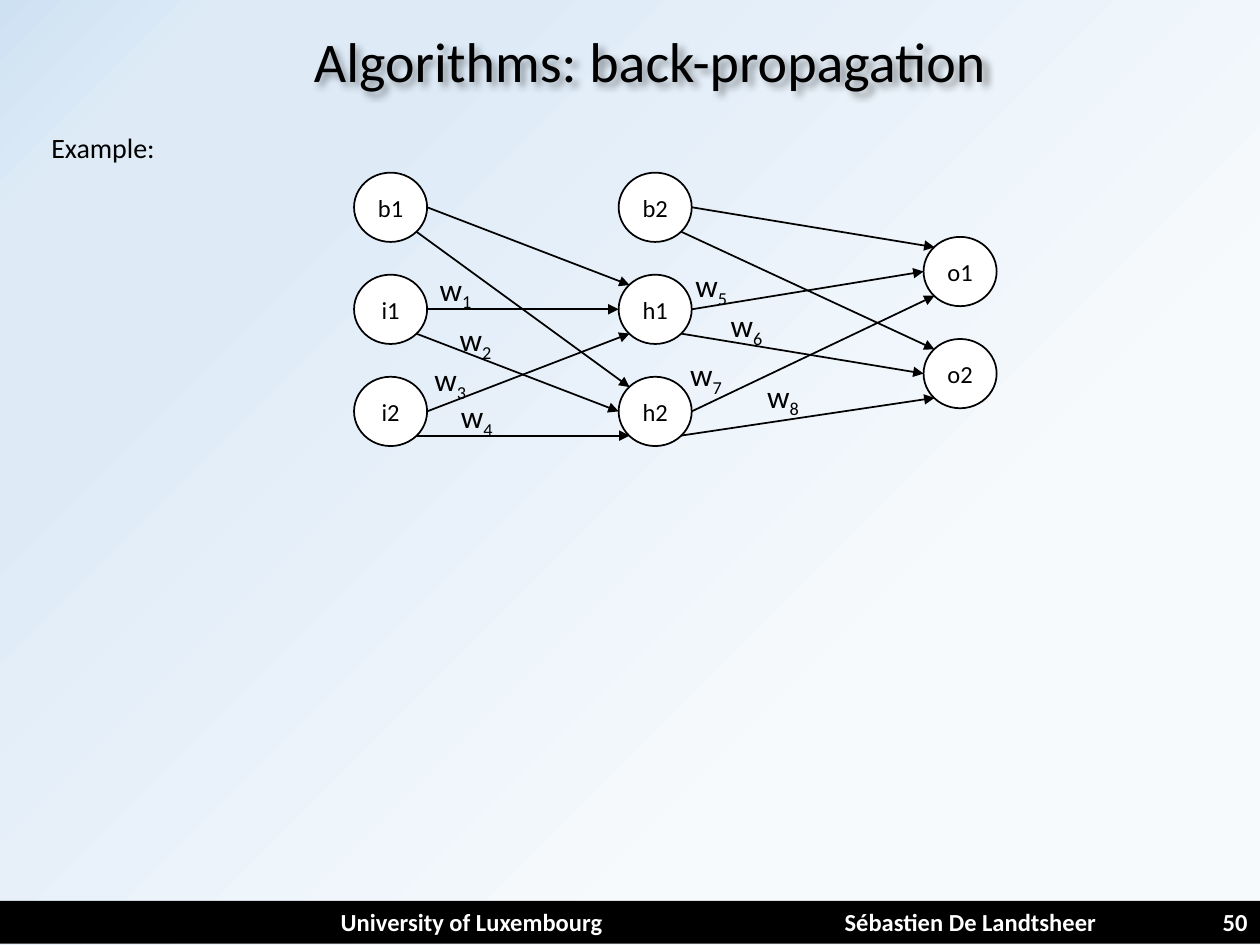
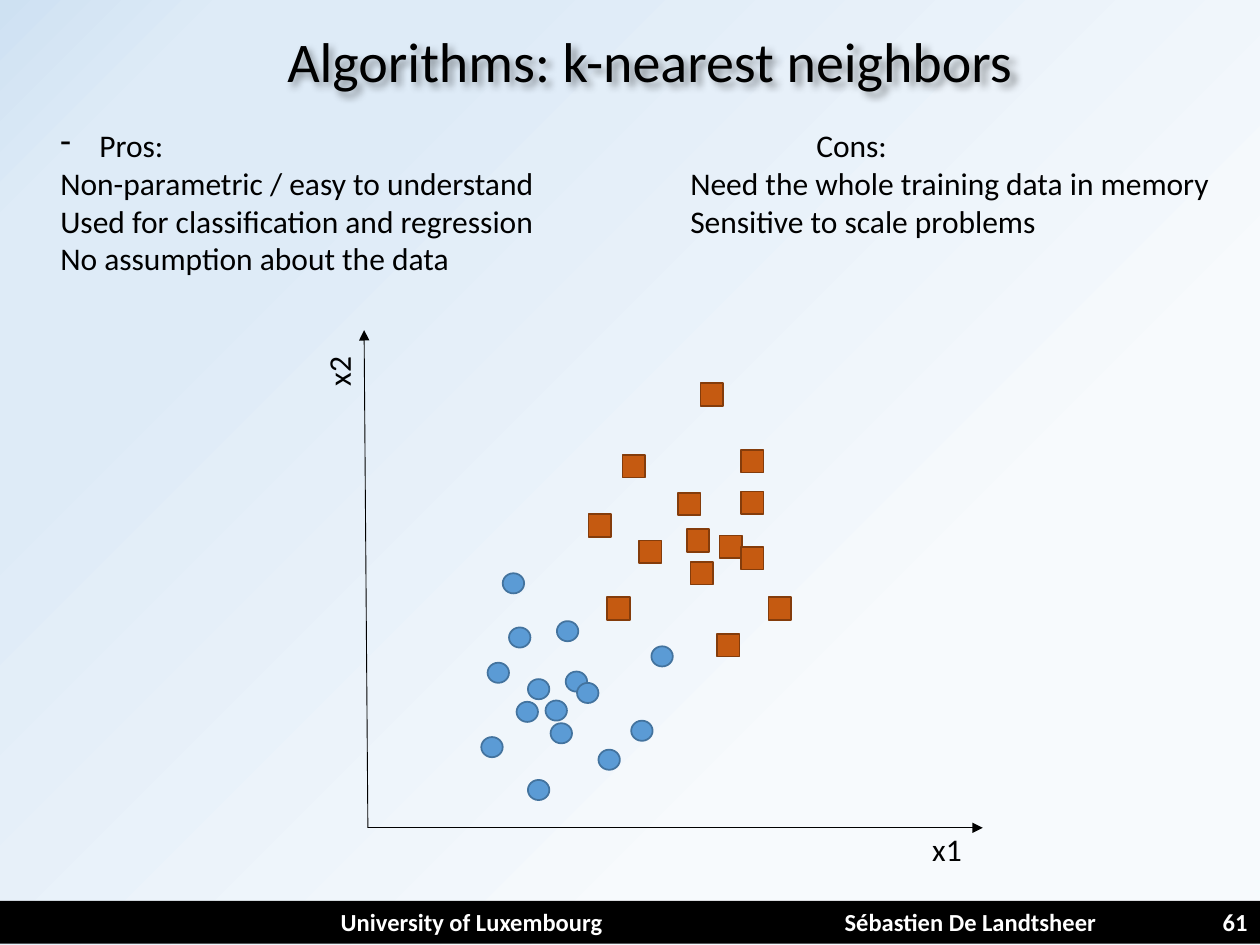
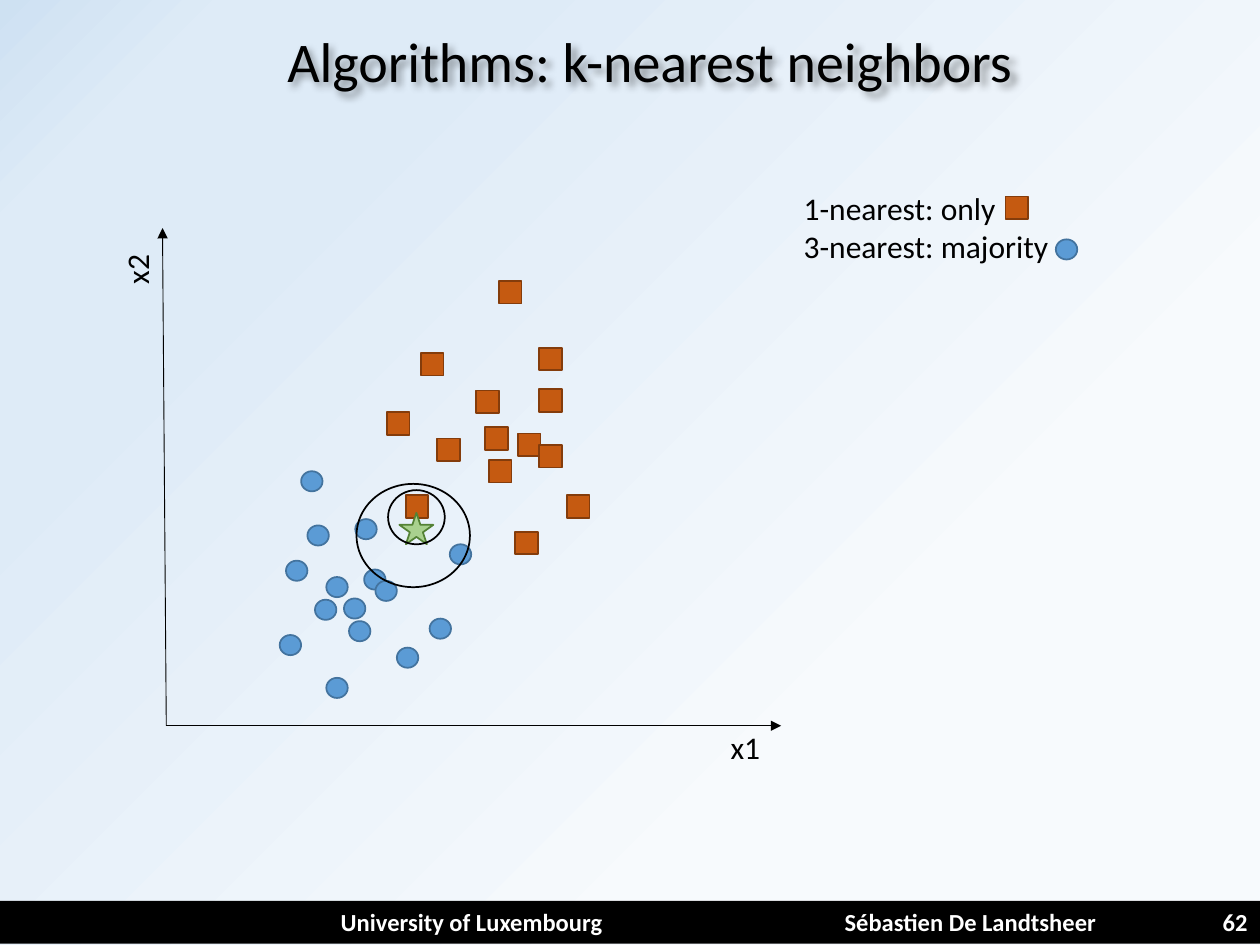
from dataclasses import dataclass
from itertools import product

from lxml.etree import SubElement
from pptx import Presentation
from pptx.dml.color import RGBColor as Rgb
from pptx.enum.shapes import MSO_CONNECTOR as Link, MSO_SHAPE as Preset
from pptx.enum.text import MSO_ANCHOR as Anchor, MSO_AUTO_SIZE as Fit, PP_ALIGN as Align
from pptx.oxml import parse_xml
from pptx.oxml.ns import nsdecls, qn
from pptx.util import Emu, Inches, Pt

FONT = "Calibri"
COLUMNS, ROWS = 100, 75
WIDTH, HEIGHT = Inches(10), Inches(7.5)

COLOURS = {
    "ink": "000000",
    "paper": "FFFFFF",
    "blue": "5B9BD5",
    "blue_edge": "43739E",
    "rust": "C55A11",
    "rust_edge": "843C0B",
    "green": "A9D18E",
    "green_edge": "548235",
}
BACKDROP_STOPS = (
    (29, "F7FAFD", 100),
    (78, "DEEBF7", 70),
    (89, "DEEBF7", 100),
    (100, "CEE1F2", 48),
)


@dataclass(frozen=True)
class Area:
    left: float
    top: float
    width: float
    height: float

    def emu(self) -> tuple[Emu, ...]:
        return (across(self.left), down(self.top), across(self.width), down(self.height))

    def point(self, share: tuple[float, float]) -> tuple[float, float]:
        return self.left + share[0] * self.width, self.top + share[1] * self.height


@dataclass(frozen=True)
class Marker:
    preset: Preset
    size: tuple[float, float]
    fill: str
    edge: str


@dataclass(frozen=True)
class Weight:
    index: str
    left: float
    top: float


DOT = Marker(Preset.OVAL, (1.7, 1.6), "blue", "blue_edge")
SQUARE = Marker(Preset.RECTANGLE, (1.8, 1.8), "rust", "rust_edge")
STAR = Marker(Preset.STAR_5_POINT, (2.7, 2.5), "green", "green_edge")

SAMPLES = {
    DOT: (
        (10.7, 20.2), (11.2, 15.9), (15.7, 12.4), (22.5, 14.4), (20.9, 8.5),
        (12.7, 3.8), (14.1, 10.1), (15, 16.4), (12.7, 11.8), (9.5, 13.1),
        (16.6, 11.5), (11.8, 10), (9, 7.2), (14.5, 8.3), (18.3, 6.2),
    ),
    SQUARE: (
        (24.6, 26.6), (25.3, 23.7), (27.9, 23.2), (25.6, 21.1), (21.5, 22.8),
        (20.2, 29.6), (26.4, 35.3), (29.6, 30), (29.6, 26.7), (29.6, 22.3),
        (31.8, 18.3), (27.7, 15.4), (19, 18.3), (17.5, 24.9),
    ),
}

NODE_STEP = 8.1
LAYERS = (
    (28.1, 13.7, ("b1", "i1", "i2")),
    (49.1, 13.7, ("b2", "h1", "h2")),
    (73.3, 18.8, ("o1", "o2")),
)
EXITS = ((1, 0.5), (0.85, 0.85))
ENTRIES = ((0.15, 0.15), (0, 0.5), (0.15, 0.85))
WEIGHTS = (
    Weight("1", 33.9, 20.9), Weight("2", 35.5, 24.9),
    Weight("3", 33.5, 28.1), Weight("4", 35.6, 31),
    Weight("5", 54.2, 20.6), Weight("6", 57, 23.8),
    Weight("7", 53.8, 27.7), Weight("8", 59.9, 29.4),
)


def across(columns: float) -> Emu:
    return Emu(round(WIDTH * columns / COLUMNS))


def down(rows: float) -> Emu:
    return Emu(round(HEIGHT * rows / ROWS))


def colour(name: str) -> Rgb:
    return Rgb.from_string(COLOURS[name])


def write(frame, text: str, *, size: float = 18, ink: str = "ink", bold: bool = False,
          align: Align = Align.LEFT, anchor: Anchor = Anchor.TOP, wrap: bool = True,
          subscript: str = "", dash_first: bool = False) -> None:
    frame.word_wrap = wrap
    frame.vertical_anchor = anchor
    for number, line in enumerate(text.split("\n")):
        para = frame.add_paragraph() if number else frame.paragraphs[0]
        para.alignment = align
        props = para._p.get_or_add_pPr()
        props.set("defTabSz", str(Inches(1)))
        if dash_first and number == 0:
            props.set("marL", str(Inches(0.31)))
            props.set("indent", str(Inches(-0.31)))
            SubElement(props, qn("a:buChar"), char="-")
        for part in filter(None, (line, subscript)):
            span = para.add_run()
            span.text = part
            span.font.name = FONT
            span.font.size = Pt(size)
            span.font.bold = bold
            span.font.color.rgb = colour(ink)
            if part == subscript:
                span._r.get_or_add_rPr().set("baseline", "-25000")


def add_text(page, area: Area, text: str, **text_format):
    box = page.shapes.add_textbox(*area.emu())
    write(box.text_frame, text, **text_format)
    box.text_frame.auto_size = Fit.SHAPE_TO_FIT_TEXT
    return box


def add_figure(page, preset: Preset, area: Area, fill: str = "", edge: str = ""):
    figure = page.shapes.add_shape(preset, *area.emu())
    figure.shadow.inherit = False
    if fill:
        figure.fill.solid()
        figure.fill.fore_color.rgb = colour(fill)
    else:
        figure.fill.background()
    if edge:
        figure.line.color.rgb = colour(edge)
        figure.line.width = Pt(1)
    else:
        figure.line.fill.background()
    return figure


def add_marker(page, marker: Marker, left: float, top: float) -> None:
    add_figure(page, marker.preset, Area(left, top, *marker.size), marker.fill, marker.edge)


def add_arrow(page, start: tuple[float, float], end: tuple[float, float], width: float) -> None:
    arrow = page.shapes.add_connector(
        Link.STRAIGHT, across(start[0]), down(start[1]), across(end[0]), down(end[1]))
    arrow.line.color.rgb = colour("ink")
    arrow.line.width = Pt(width)
    SubElement(arrow.line._get_or_add_ln(), qn("a:tailEnd"), type="triangle")
    SubElement(arrow._element.spPr, qn("a:effectLst"))


def paint_backdrop(master) -> None:
    fill = master.background.fill
    fill.gradient()
    stops = "".join(
        f'<a:gs pos="{place * 1000}"><a:srgbClr val="{value}">'
        f'<a:alpha val="{alpha * 1000}"/></a:srgbClr></a:gs>'
        for place, value, alpha in BACKDROP_STOPS)
    gradient = parse_xml(
        f'<a:gradFill {nsdecls("a")} rotWithShape="1"><a:gsLst>{stops}</a:gsLst>'
        '<a:path path="circle"><a:fillToRect l="100000" t="100000"/></a:path></a:gradFill>')
    current = next(master.element.iter(qn("a:gradFill")))
    current.getparent().replace(current, gradient)


def add_page(deck, title: str, number: int):
    page = deck.slides.add_slide(deck.slide_layouts[6])
    band = add_figure(page, Preset.RECTANGLE, Area(0, 71.5, 100, 3.4), "ink")
    write(band.text_frame, f"University of Luxembourg\t\tSébastien De Landtsheer\t\t{number}",
          size=14, ink="paper", bold=True, align=Align.RIGHT)
    heading = add_text(page, Area(4.2, 1.6, 94.8, 6.4), f"Algorithms: {title}",
                       size=32, align=Align.CENTER)
    heading._element.spPr.append(parse_xml(
        f'<a:effectLst {nsdecls("a")}><a:outerShdw blurRad="50800" dist="38100" dir="2700000" '
        'algn="tl" rotWithShape="0"><a:srgbClr val="000000"><a:alpha val="40000"/>'
        '</a:srgbClr></a:outerShdw></a:effectLst>'))
    return page


def add_network(page) -> None:
    layers = [[(name, Area(left, top + row * NODE_STEP, 5.8, 5.5))
               for row, name in enumerate(names)] for left, top, names in LAYERS]
    for name, area in (node for layer in layers for node in layer):
        circle = add_figure(page, Preset.OVAL, area, "paper", "ink")
        write(circle.text_frame, name, size=14, align=Align.CENTER,
              anchor=Anchor.MIDDLE, wrap=False)
    for sources, targets in zip(layers, (layers[1][1:], layers[2])):
        pairs = product(zip(sources, ENTRIES), zip(targets, EXITS))
        for ((_, source), entry), ((_, target), way_out) in pairs:
            add_arrow(page, source.point(way_out), target.point(entry), 1)
    for weight in WEIGHTS:
        add_text(page, Area(weight.left, weight.top, 4.7, 4), "w",
                 subscript=weight.index, wrap=False)


def add_scatter(page, left: float, base: float) -> None:
    add_arrow(page, (left, base), (left - 0.3, base - 39.5), 0.5)
    add_arrow(page, (left, base), (left + 48.8, base), 0.5)
    for marker, samples in SAMPLES.items():
        for right, up in samples:
            add_marker(page, marker, left + right, base - up)
    add_text(page, Area(left + 43.8, base - 0.3, 4.9, 4), "x1")
    add_text(page, Area(left - 4.8, base - 38.5, 4.9, 4), "x2").rotation = 270


def build_back_propagation(deck) -> None:
    page = add_page(deck, "back-propagation", 50)
    add_network(page)
    add_text(page, Area(3.1, 9.9, 94, 3.7), "Example:", size=16)


def build_pros_and_cons(deck) -> None:
    page = add_page(deck, "k-nearest neighbors", 61)
    add_text(page, Area(3.8, 9.5, 94.1, 16.2),
             "Pros:\t\t\t\t\t\tCons:\n"
             "Non-parametric / easy to understand\t\tNeed the whole training data in memory\n"
             "Used for classification and regression\t\tSensitive to scale problems\n"
             "No assumption about the data", dash_first=True)
    add_scatter(page, 29.2, 65.7)


def build_nearest_vote(deck) -> None:
    page = add_page(deck, "k-nearest neighbors", 62)
    add_scatter(page, 13.2, 57.6)
    add_marker(page, STAR, 31.7, 40.7)
    for reach in (Area(30.8, 38.9, 4.5, 4.3), Area(28.3, 38.4, 9, 8.2)):
        add_figure(page, Preset.OVAL, reach, edge="ink")
    add_text(page, Area(62.8, 14.5, 34.9, 7.1), "1-nearest: only\n3-nearest: majority")
    add_marker(page, SQUARE, 79.8, 15.6)
    add_marker(page, DOT, 83.8, 19)


def main() -> None:
    deck = Presentation()
    deck.slide_width, deck.slide_height = WIDTH, HEIGHT
    paint_backdrop(deck.slide_master)
    build_back_propagation(deck)
    build_pros_and_cons(deck)
    build_nearest_vote(deck)
    deck.save("out.pptx")


if __name__ == "__main__":
    main()
